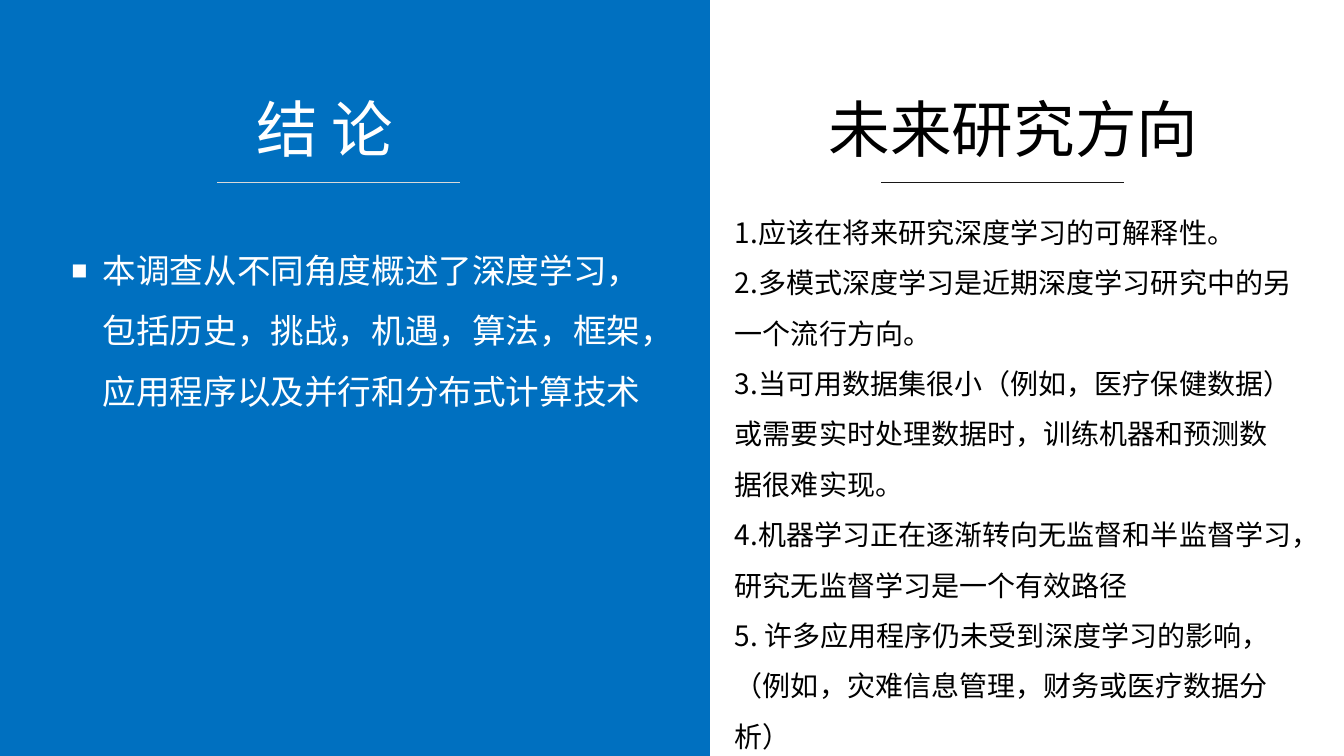
from lxml import etree
from pptx import Presentation
from pptx.dml.color import RGBColor
from pptx.enum.shapes import MSO_CONNECTOR as CONNECTOR, MSO_SHAPE as SHAPE
from pptx.enum.text import MSO_ANCHOR as ANCHOR, MSO_AUTO_SIZE as AUTO_SIZE, PP_ALIGN as ALIGN
from pptx.oxml.ns import qn
from pptx.util import Inches, Pt

BLUE = RGBColor(0x00, 0x70, 0xC0)
WHITE = RGBColor(0xFF, 0xFF, 0xFF)
BLACK = RGBColor(0x00, 0x00, 0x00)
PALE_RULE = RGBColor(0xD9, 0xD9, 0xD9)
DARK_RULE = RGBColor(0x18, 0x17, 0x17)
CJK_FONT = "Noto Sans CJK SC"

HEADING_TOP, HEADING_HEIGHT = 0.85, 0.84
RULE_TOP, RULE_WIDTH = 1.81, 2.41

CONCLUSION = ["本调查从不同角度概述了深度学习，包括历史，挑战，机遇，算法，框架，应用程序以及并行和分布式计算技术"]
DIRECTIONS = [
    "1.应该在将来研究深度学习的可解释性。",
    "2.多模式深度学习是近期深度学习研究中的另一个流行方向。",
    "3.当可用数据集很小（例如，医疗保健数据）或需要实时处理数据时，训练机器和预测数据很难实现。",
    "4.机器学习正在逐渐转向无监督和半监督学习，研究无监督学习是一个有效路径",
    "5. 许多应用程序仍未受到深度学习的影响，（例如，灾难信息管理，财务或医疗数据分析）",
]


def write(holder, lines, size, color, font=CJK_FONT, wrap=True, spacing=1.0, bullet=None):
    """Fill a box or placeholder with one paragraph per line."""
    frame = holder.text_frame
    frame.word_wrap = wrap
    frame.auto_size = AUTO_SIZE.NONE
    frame.vertical_anchor = ANCHOR.TOP
    for index, line in enumerate(lines):
        paragraph = frame.paragraphs[0] if index == 0 else frame.add_paragraph()
        paragraph.alignment = ALIGN.LEFT
        paragraph.line_spacing = spacing
        if bullet:
            props = paragraph._p.get_or_add_pPr()
            props.set("marL", str(Inches(0.31)))
            props.set("indent", str(-Inches(0.31)))
            bullet_color = etree.SubElement(props, qn("a:buClr"))
            etree.SubElement(bullet_color, qn("a:srgbClr"), val=str(color))
            etree.SubElement(props, qn("a:buSzPct"), val="80000")
            etree.SubElement(props, qn("a:buFont"), typeface="Arial")
            etree.SubElement(props, qn("a:buChar"), char=bullet)
        run = paragraph.add_run()
        run.text = line
        run.font.size = Pt(size)
        run.font.name = font
        run.font.color.rgb = color
        etree.SubElement(run.font._element, qn("a:ea"), typeface=CJK_FONT)


prs = Presentation()
prs.slide_width, prs.slide_height = Inches(13.33), Inches(7.5)
slide = prs.slides.add_slide(prs.slide_layouts[5])
shapes = slide.shapes

blue_half = shapes.add_shape(SHAPE.RECTANGLE, 0, 0, Inches(7.04), prs.slide_height)
blue_half.shadow.inherit = False
blue_half.fill.solid()
blue_half.fill.fore_color.rgb = BLUE
blue_half.line.color.rgb = BLUE
blue_half.line.width = Pt(1)
shapes._spTree.insert(2, blue_half._element)

conclusion_heading = shapes.title
conclusion_heading.left, conclusion_heading.top = Inches(2.44), Inches(HEADING_TOP)
conclusion_heading.width, conclusion_heading.height = Inches(1.74), Inches(HEADING_HEIGHT)
write(conclusion_heading, ["结 论"], 44, WHITE, wrap=False)

directions_heading = shapes.add_textbox(
    Inches(8.12), Inches(HEADING_TOP), Inches(3.9), Inches(HEADING_HEIGHT))
write(directions_heading, ["未来研究方向"], 44, BLACK, wrap=False)

for rule_left, rule_color in ((2.15, PALE_RULE), (8.74, DARK_RULE)):
    rule = shapes.add_connector(
        CONNECTOR.STRAIGHT, Inches(rule_left), Inches(RULE_TOP),
        Inches(rule_left + RULE_WIDTH), Inches(RULE_TOP))
    rule.line.color.rgb = rule_color
    rule.line.width = Pt(1)
    etree.SubElement(rule._element.spPr, qn("a:effectLst"))

conclusion = shapes.add_textbox(Inches(0.61), Inches(2.23), Inches(5.9), Inches(2.46))
write(conclusion, CONCLUSION, 24, WHITE, font="Calibri", spacing=1.5, bullet="■")

directions = shapes.add_textbox(Inches(7.19), Inches(1.92), Inches(5.75), Inches(5.65))
write(directions, DIRECTIONS, 20, BLACK, spacing=1.5)

prs.save("out.pptx")
